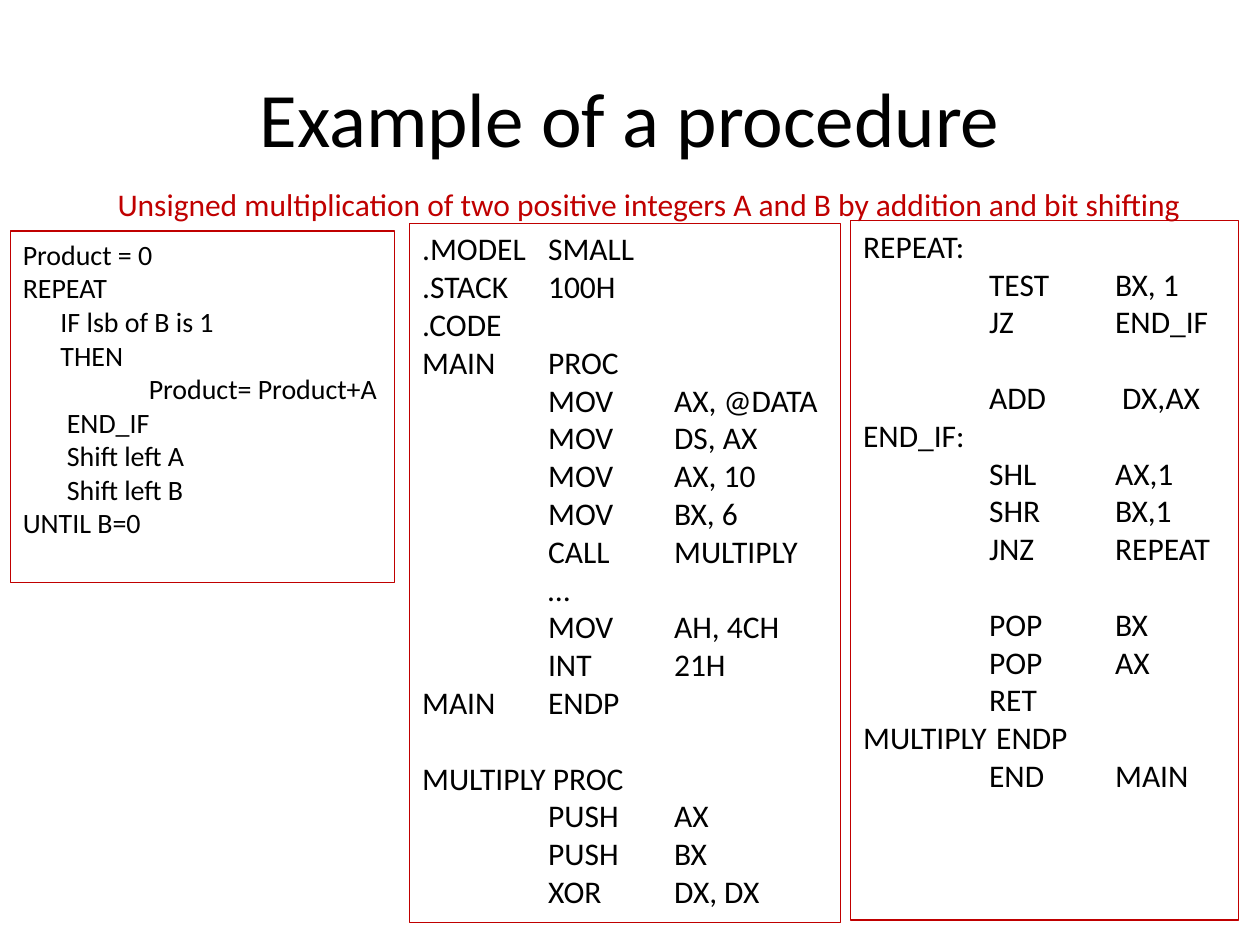
from lxml.etree import SubElement
from pptx import Presentation
from pptx.dml.color import RGBColor
from pptx.enum.shapes import MSO_SHAPE
from pptx.enum.text import MSO_ANCHOR, MSO_AUTO_SIZE, PP_ALIGN
from pptx.oxml.ns import qn
from pptx.util import Cm, Pt

BLACK, RED = "000000", "C00000"
LINE_HEIGHT = 1.2
CODE_COLUMNS = (2.54, 5.08)

PSEUDOCODE = [
    "Product = 0",
    "REPEAT",
    "IF lsb of B is 1",
    "THEN",
    "\tProduct= Product+A",
    "END_IF",
    "Shift left A",
    "Shift left B",
    "UNTIL B=0",
]
PSEUDOCODE_INDENTS = {2: 0.76, 3: 0.76, 5: 0.89, 6: 0.89, 7: 0.89}

MAIN_CODE = [
    ".MODEL\tSMALL",
    ".STACK\t100H",
    ".CODE",
    "MAIN\tPROC",
    "\tMOV\tAX, @DATA",
    "\tMOV\tDS, AX",
    "\tMOV\tAX, 10",
    "\tMOV\tBX, 6",
    "\tCALL\tMULTIPLY",
    "\t…",
    "\tMOV\tAH, 4CH",
    "\tINT\t21H",
    "MAIN\tENDP",
    "MULTIPLY PROC",
    "\tPUSH\tAX",
    "\tPUSH\tBX",
    "\tXOR\tDX, DX",
]

MULTIPLY_CODE = [
    "REPEAT:",
    "\tTEST\tBX, 1",
    "\tJZ\tEND_IF",
    "\tADD\t DX,AX",
    "END_IF:",
    "\tSHL\tAX,1",
    "\tSHR\tBX,1",
    "\tJNZ\tREPEAT",
    "\tPOP\tBX",
    "\tPOP\tAX",
    "\tRET",
    "MULTIPLY\t ENDP",
    "\tEND\tMAIN",
]


def color(value):
    """Turn a hex string into a colour."""
    return RGBColor.from_string(value)


def set_tab_stops(paragraph, stops):
    """Give a paragraph left-aligned tab stops."""
    tab_list = SubElement(paragraph._p.get_or_add_pPr(), qn("a:tabLst"))
    for stop in stops:
        SubElement(tab_list, qn("a:tab"), pos=str(Cm(stop)), algn="l")


def write(frame, lines, size=18, ink=BLACK, align=PP_ALIGN.LEFT,
          anchor=MSO_ANCHOR.TOP, gaps=(), indents=None):
    """Write lines into a frame, with a line's gap before the numbered ones."""
    frame.word_wrap = True
    frame.auto_size = MSO_AUTO_SIZE.NONE
    frame.vertical_anchor = anchor
    for number, line in enumerate(lines):
        paragraph = frame.paragraphs[0] if number == 0 else frame.add_paragraph()
        paragraph.alignment = align
        if number in gaps:
            paragraph.space_before = Pt(size * LINE_HEIGHT)
        if indents and number in indents:
            paragraph._p.get_or_add_pPr().set("marL", str(Cm(indents[number])))
        if "\t" in line:
            set_tab_stops(paragraph, CODE_COLUMNS)
        run = paragraph.add_run()
        run.text = line
        run.font.name = "Calibri"
        run.font.size = Pt(size)
        run.font.color.rgb = color(ink)


def add_title(slide, text):
    """Place and format the slide title."""
    title = slide.shapes.title
    title.left, title.top = Cm(1.27), Cm(0.76)
    title.width, title.height = Cm(22.86), Cm(3.18)
    write(title.text_frame, [text], size=44, align=PP_ALIGN.CENTER,
          anchor=MSO_ANCHOR.MIDDLE)


def add_subtitle(slide, text):
    """Add the red line that states the task."""
    subtitle = slide.shapes.add_textbox(Cm(2.12), Cm(3.61), Cm(22.1), Cm(1.02))
    write(subtitle.text_frame, [text], ink=RED)


def add_code_box(slide, left, top, width, height, lines, **text_format):
    """Add an outlined box of code."""
    box = slide.shapes.add_shape(
        MSO_SHAPE.RECTANGLE, Cm(left), Cm(top), Cm(width), Cm(height))
    box.shadow.inherit = False
    box.fill.background()
    box.line.color.rgb = color(RED)
    box.line.width = Pt(0.75)
    write(box.text_frame, lines, **text_format)


def main():
    """Build the slide and save it."""
    deck = Presentation()
    deck.slide_width, deck.slide_height = Cm(25.4), Cm(19.05)
    slide = deck.slides.add_slide(deck.slide_layouts[5])
    add_title(slide, "Example of a procedure")
    add_subtitle(slide, "Unsigned multiplication of two positive integers "
                        "A and B by addition and bit shifting")
    add_code_box(slide, 0.21, 4.66, 7.75, 7.09, PSEUDOCODE, size=16,
                 indents=PSEUDOCODE_INDENTS)
    add_code_box(slide, 8.26, 4.5, 8.68, 14.1, MAIN_CODE, gaps=(13,))
    add_code_box(slide, 17.15, 4.45, 7.82, 14.1, MULTIPLY_CODE, gaps=(3, 8))
    deck.save("out.pptx")


if __name__ == "__main__":
    main()
